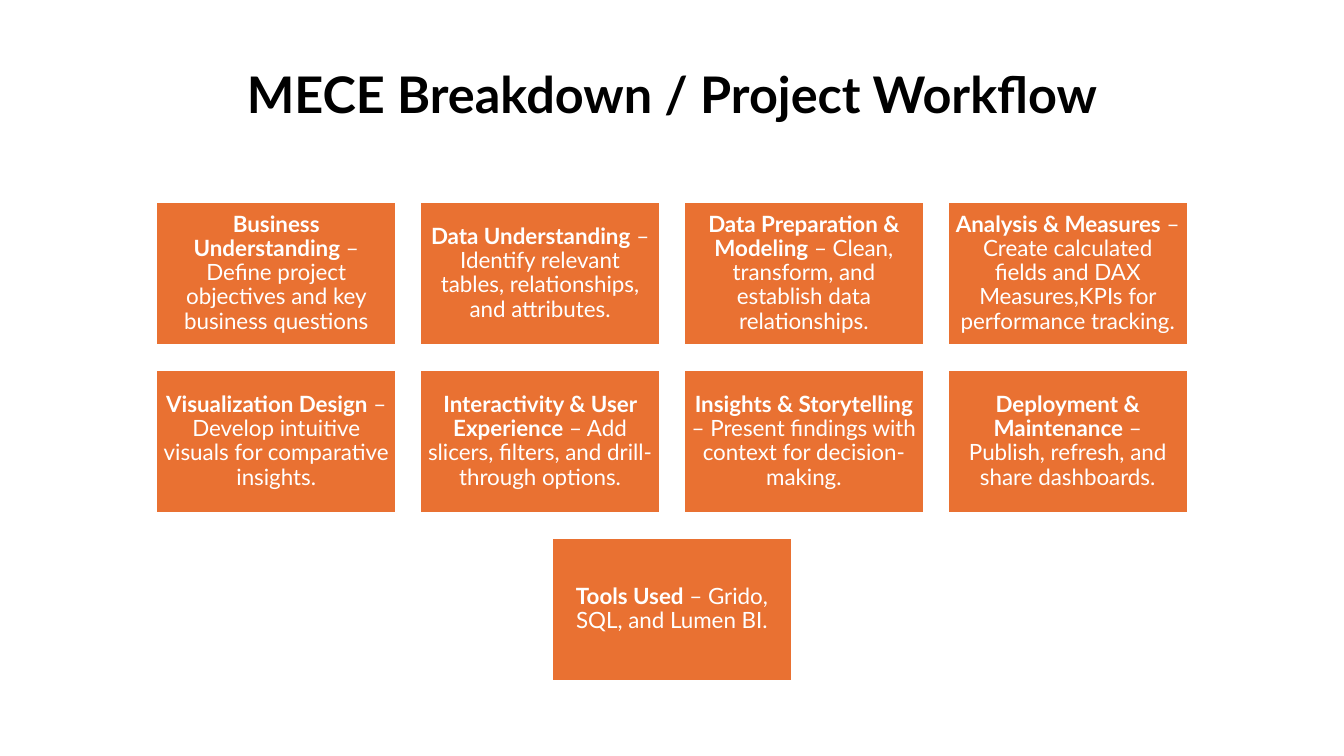
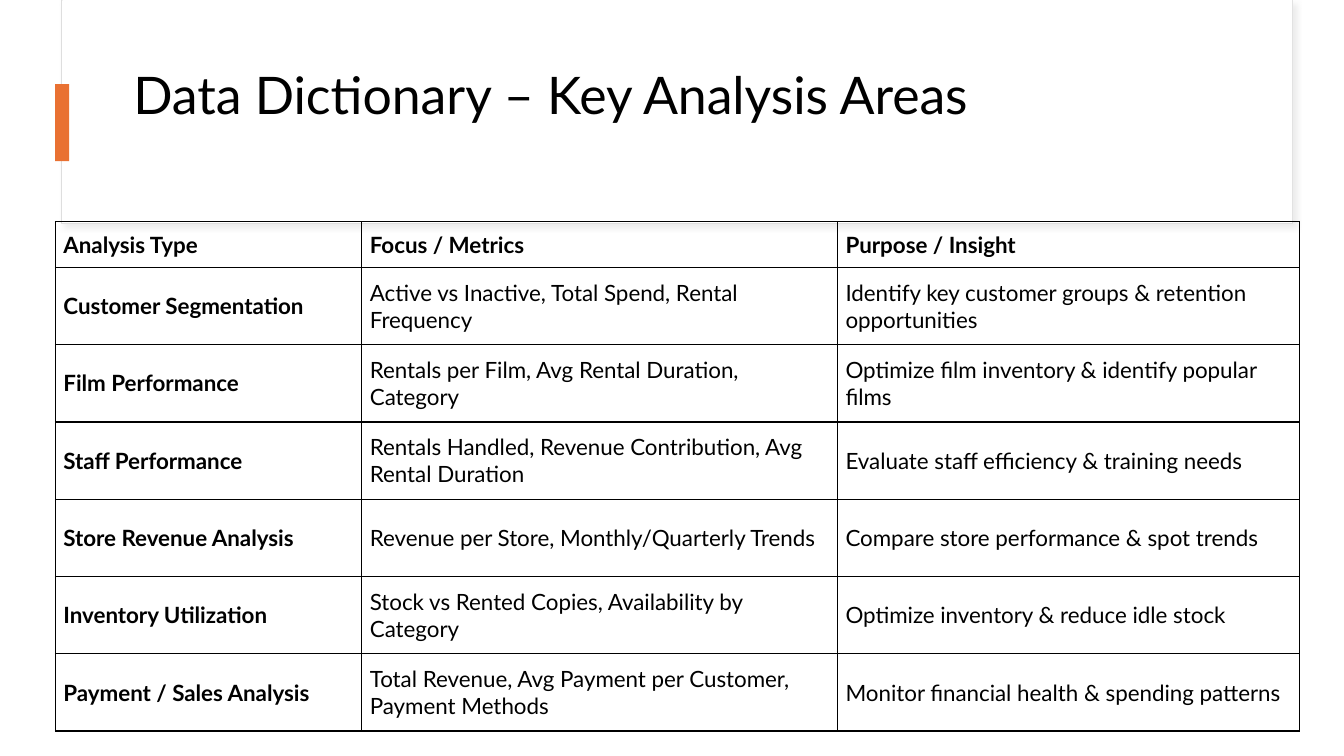
from lxml import etree
from pptx import Presentation
from pptx import oxml
from pptx.dml.color import RGBColor
from pptx.enum import shapes, text
from pptx.util import Pt

NAMESPACE = "http://schemas.openxmlformats.org/drawingml/2006/main"
COLORS = {
    "text": "000000",
    "accent": "E97132",
    "paper": "FFFFFF",
    "outline": "DEDEDE",
    "shadow": "D9D9D9",
}
SLIDE_WIDTH, SLIDE_HEIGHT = 960, 540
CARD_WIDTH, CARD_HEIGHT, CARD_GAP = 171.3, 102.8, 17.15
CARDS_TOP = 144
CARD_ROWS = [
    [
        ("Business Understanding", "Define project objectives and key business questions"),
        ("Data Understanding", "Identify relevant tables, relationships, and attributes."),
        ("Data Preparation & Modeling", "Clean, transform, and establish data relationships."),
        ("Analysis & Measures", "Create calculated fields and DAX Measures,KPIs for performance tracking."),
    ],
    [
        ("Visualization Design", "Develop intuitive visuals for comparative insights."),
        ("Interactivity & User Experience", "Add slicers, filters, and drill-through options."),
        ("Insights & Storytelling", "Present findings with context for decision-making."),
        ("Deployment & Maintenance", "Publish, refresh, and share dashboards."),
    ],
    [("Tools Used", "Grido, SQL, and Lumen BI.")],
]
ANALYSIS_AREAS = [
    ("Analysis Type", "Focus / Metrics", "Purpose / Insight"),
    ("Customer Segmentation", "Active vs Inactive, Total Spend, Rental Frequency",
     "Identify key customer groups & retention opportunities"),
    ("Film Performance", "Rentals per Film, Avg Rental Duration, Category",
     "Optimize film inventory & identify popular films"),
    ("Staff Performance", "Rentals Handled, Revenue Contribution, Avg Rental Duration",
     "Evaluate staff efficiency & training needs"),
    ("Store Revenue Analysis", "Revenue per Store, Monthly/Quarterly Trends",
     "Compare store performance & spot trends"),
    ("Inventory Utilization", "Stock vs Rented Copies, Availability by Category",
     "Optimize inventory & reduce idle stock"),
    ("Payment / Sales Analysis", "Total Revenue, Avg Payment per Customer, Payment Methods",
     "Monitor financial health & spending patterns"),
]


class Deck:
    font = "Lato"
    body_size = 16

    def __init__(self):
        self.presentation = Presentation()
        self.presentation.slide_width = Pt(SLIDE_WIDTH)
        self.presentation.slide_height = Pt(SLIDE_HEIGHT)
        self.slide = None

    def add_slide(self):
        self.slide = self.presentation.slides.add_slide(self.presentation.slide_layouts[5])

    def color(self, name):
        return RGBColor.from_string(COLORS[name])

    def add_run(self, paragraph, words, size, color="text", bold=False):
        run = paragraph.add_run()
        run.text = words
        run.font.name = self.font
        run.font.size = Pt(size)
        run.font.bold = bold
        run.font.color.rgb = self.color(color)

    def title(self, words, box, size, align, bold=False):
        shape = self.slide.shapes.title
        shape.left, shape.top, shape.width, shape.height = map(Pt, box)
        frame = shape.text_frame
        frame.word_wrap = True
        frame.auto_size = text.MSO_AUTO_SIZE.NONE
        frame.vertical_anchor = text.MSO_ANCHOR.MIDDLE
        frame.margin_bottom = Pt(size * 1.08 + 3.6)
        paragraph = frame.paragraphs[0]
        paragraph.alignment = align
        paragraph.line_spacing = 0.9
        self.add_run(paragraph, words, size, bold=bold)
        self.slide.shapes._spTree.append(shape._element)

    def rectangle(self, box, fill, line=None, line_width=0.75):
        shape = self.slide.shapes.add_shape(shapes.MSO_SHAPE.RECTANGLE, *map(Pt, box))
        shape.shadow.inherit = False
        shape.fill.solid()
        shape.fill.fore_color.rgb = self.color(fill)
        if line:
            shape.line.color.rgb = self.color(line)
            shape.line.width = Pt(line_width)
        else:
            shape.line.fill.background()
        return shape

    def cast_shadow(self, shape, blur, distance, degrees, opacity):
        effects = shape._element.spPr.find(f"{{{NAMESPACE}}}effectLst")
        effects.append(oxml.parse_xml(
            f'<a:outerShdw xmlns:a="{NAMESPACE}" blurRad="{Pt(blur)}" dist="{Pt(distance)}" '
            f'dir="{degrees * 60000}" algn="tl" rotWithShape="0">'
            f'<a:srgbClr val="{COLORS["shadow"]}"><a:alpha val="{opacity * 1000}"/></a:srgbClr>'
            '</a:outerShdw>'))

    def card(self, box, heading, description):
        frame = self.rectangle(box, "accent", "paper", 1.5).text_frame
        frame.word_wrap = True
        frame.vertical_anchor = text.MSO_ANCHOR.MIDDLE
        frame.margin_left = frame.margin_right = Pt(4.8)
        frame.margin_top = frame.margin_bottom = Pt(4.8)
        paragraph = frame.paragraphs[0]
        paragraph.alignment = text.PP_ALIGN.CENTER
        paragraph.line_spacing = 0.9
        self.add_run(paragraph, heading, self.body_size, "paper", bold=True)
        self.add_run(paragraph, f" – {description}", self.body_size, "paper")

    def border(self, cell):
        properties = cell._tc.get_or_add_tcPr()
        for side in ("lnL", "lnR", "lnT", "lnB"):
            line = etree.SubElement(properties, f"{{{NAMESPACE}}}{side}", w=str(Pt(1)))
            fill = etree.SubElement(line, f"{{{NAMESPACE}}}solidFill")
            etree.SubElement(fill, f"{{{NAMESPACE}}}srgbClr", val=COLORS["text"])

    def table(self, left, top, widths, heights, rows):
        table = self.slide.shapes.add_table(
            len(rows), len(widths), Pt(left), Pt(top), Pt(sum(widths)), Pt(sum(heights))).table
        table.first_row = table.horz_banding = False
        for column, width in zip(table.columns, widths):
            column.width = Pt(width)
        for row_index, (height, values) in enumerate(zip(heights, rows)):
            table.rows[row_index].height = Pt(height)
            for column_index, value in enumerate(values):
                cell = table.cell(row_index, column_index)
                self.border(cell)
                cell.fill.background()
                cell.vertical_anchor = text.MSO_ANCHOR.MIDDLE
                cell.margin_left = cell.margin_right = Pt(5.7)
                cell.margin_top = cell.margin_bottom = Pt(2.9)
                self.add_run(cell.text_frame.paragraphs[0], value, self.body_size,
                             bold=row_index == 0 or column_index == 0)


def build_workflow(deck):
    deck.add_slide()
    deck.title("MECE Breakdown / Project Workflow", (66, 44, 828, 90), 36,
               text.PP_ALIGN.CENTER, bold=True)
    for row_index, cards in enumerate(CARD_ROWS):
        row_width = len(cards) * (CARD_WIDTH + CARD_GAP) - CARD_GAP
        left = (SLIDE_WIDTH - row_width) / 2
        top = CARDS_TOP + row_index * (CARD_HEIGHT + CARD_GAP)
        for column_index, (heading, description) in enumerate(cards):
            card_left = left + column_index * (CARD_WIDTH + CARD_GAP)
            deck.card((card_left, top, CARD_WIDTH, CARD_HEIGHT), heading, description)


def build_dictionary(deck):
    deck.add_slide()
    panel = deck.rectangle((44, 0.5, 879, 159), "paper", "outline")
    deck.cast_shadow(panel, blur=4, distance=3, degrees=45, opacity=50)
    deck.rectangle((44.6, 0, 878.4, 158.4), "paper")
    deck.title("Data Dictionary – Key Analysis Areas", (88, 43.2, 800, 93), 37,
               text.PP_ALIGN.LEFT)
    deck.rectangle((39.4, 60, 10, 55.2), "accent")
    deck.table(39.6, 158.4, (218.9, 339.8, 330.2), [32.6] + [55.2] * 6, ANALYSIS_AREAS)


def main():
    deck = Deck()
    build_workflow(deck)
    build_dictionary(deck)
    deck.presentation.save("out.pptx")


if __name__ == "__main__":
    main()
